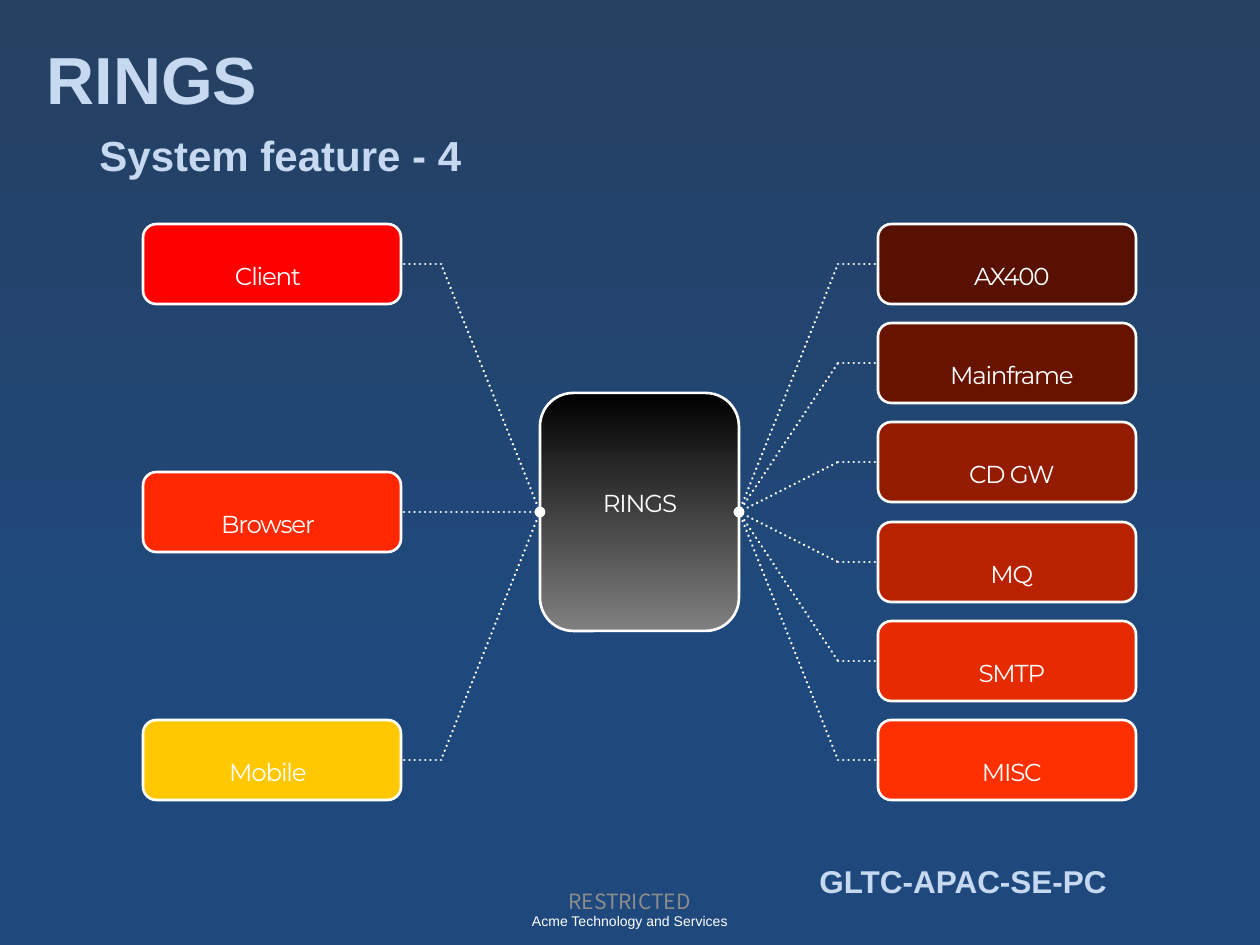
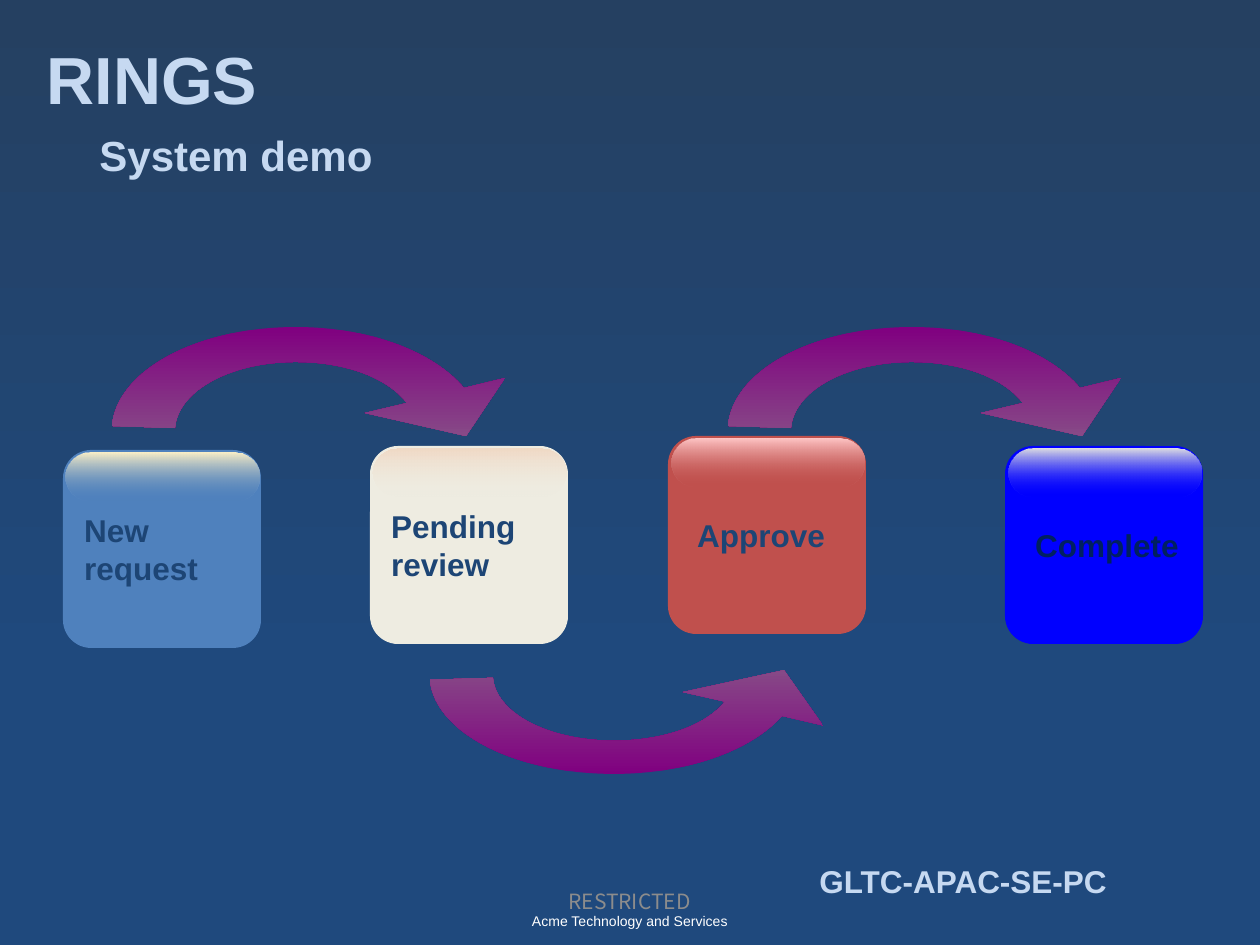
from lxml import etree
from pptx import Presentation
from pptx import util as u
from pptx.dml.color import RGBColor
from pptx.enum import dml, shapes, text
from pptx.oxml import ns

PX = 914400 / 126
WHITE, PALE, GREY = "FFFFFF", "C6D9F1", "8C8C8C"
NAVY, PURPLE, SILVER = "1D4575", "800080", "8D8D8D"
ARIAL, MONTSERRAT, NOTO = "Arial", "Montserrat", "Noto Sans CJK KR"
LEFT_SIDE, RIGHT_SIDE = 1, 3
DOWN, UP = 270, 90

SOURCES = [("Client", "FF0000"), ("Browser", "FF2800"), ("Mobile", "FFC800")]
TARGETS = [("AX400", "581000"), ("Mainframe", "671300"), ("CD GW", "931B00"),
           ("MQ", "B82200"), ("SMTP", "E62B00"), ("MISC", "FF3000")]
NODE_TOP, NODE_SPAN, NODE_W, NODE_H = 224, 496, 258, 80

STEPS = [("New\nrequest", 63, 450, "4F81BD", "FCF0C7", NAVY, 13),
         ("Pending\nreview", 370, 446, "EEECE1", "F1DAC6", NAVY, 13),
         ("Approve", 668, 436, "C0504D", "FFC6C6", NAVY, 21),
         ("Complete", 1005, 446, "0000FF", "E1E1E1", "002060", 22)]

ARROW_W, ARROW_H = 366, 208
ARROW_START = (295, 76)
ARROW_SEGMENTS = [
    [(275, 50), (232, 35), (184, 35)],
    [(118, 35), (66, 64), (63, 101)],
    [(0, 99)],
    [(5, 43), (86, 0), (184, 0)],
    [(256, 0), (321, 24), (352, 61)],
    [(393, 51)], [(354, 109)], [(253, 86)],
]


def px(length):
    return u.Emu(round(length * PX))


def rgb(value):
    return RGBColor.from_string(value)


def blend(fill, start, end, angle=DOWN, start_at=0):
    fill.gradient()
    fill.gradient_angle = angle
    for stop, color, position in zip(fill.gradient_stops, (start, end), (start_at, 1)):
        stop.color.rgb = rgb(color)
        stop.position = position


def write(frame, content, size, color, font=ARIAL, bold=False,
          align=text.PP_ALIGN.LEFT, anchor=text.MSO_ANCHOR.TOP, wrap=True, spacing=0):
    frame.text = content
    frame.word_wrap = wrap
    frame.vertical_anchor = anchor
    frame.auto_size = text.MSO_AUTO_SIZE.NONE
    for paragraph in frame.paragraphs:
        paragraph.alignment = align
        style = paragraph.font
        style.name, style.size, style.bold = font, u.Pt(size), bold
        style.color.rgb = rgb(color)
        if spacing:
            paragraph._p.pPr.get_or_add_defRPr().set("spc", str(spacing))


def add_text(slide, box, content, size, color, **style):
    label = slide.shapes.add_textbox(*map(px, box))
    write(label.text_frame, content, size, color, **style)


def add_label(slide, box, content):
    add_text(slide, box, content, 14, WHITE, font=MONTSERRAT, wrap=False,
             align=text.PP_ALIGN.CENTER, spacing=-70)


def add_rounded(slide, box, corner, fill=None, outline=None):
    panel = slide.shapes.add_shape(shapes.MSO_SHAPE.ROUNDED_RECTANGLE, *map(px, box))
    panel.adjustments[0] = corner
    panel.shadow.inherit = False
    if fill:
        panel.fill.solid()
        panel.fill.fore_color.rgb = rgb(fill)
    if outline:
        panel.line.color.rgb = rgb(outline)
        panel.line.width = u.Pt(1.5)
    else:
        panel.line.fill.background()
    return panel


def add_link(slide, start, end, start_node=None, end_node=None, dot=False):
    link = slide.shapes.add_connector(
        shapes.MSO_CONNECTOR.STRAIGHT, *map(px, start + end))
    link.line.color.rgb = rgb(WHITE)
    link.line.width = u.Pt(1.5)
    link.line.dash_style = dml.MSO_LINE.ROUND_DOT
    stroke = link.line._get_or_add_ln()
    stroke.set("cap", "rnd")
    if dot:
        etree.SubElement(stroke, ns.qn("a:headEnd"), type="oval")
    etree.SubElement(link._element.spPr, ns.qn("a:effectLst"))
    if start_node:
        link.begin_connect(*start_node)
    if end_node:
        link.end_connect(*end_node)


def add_branch(slide, core, nodes, node_x, label_x, port_x, elbow_x, core_side):
    node_side = RIGHT_SIDE if core_side == LEFT_SIDE else LEFT_SIDE
    node_edge = node_x + NODE_W if core_side == LEFT_SIDE else node_x
    port_y = NODE_TOP + (NODE_SPAN + NODE_H) // 2
    for index, (name, color) in enumerate(nodes):
        top = NODE_TOP + round(index * NODE_SPAN / (len(nodes) - 1))
        middle = top + NODE_H // 2
        node = add_rounded(slide, (node_x, top, NODE_W, NODE_H), 0.167, color, WHITE)
        add_label(slide, (label_x, top + 31, 128, 20), name)
        port, elbow, edge = (port_x, port_y), (elbow_x, middle), (node_edge, middle)
        if middle == port_y:
            add_link(slide, port, edge, (core, core_side), (node, node_side), dot=True)
        else:
            add_link(slide, port, elbow, (core, core_side), dot=True)
            add_link(slide, elbow, edge, end_node=(node, node_side))


def bend_segments(outline):
    for line, points in zip(outline.findall(ns.qn("a:lnTo")), ARROW_SEGMENTS):
        if len(points) == 3:
            bend = etree.Element(ns.qn("a:cubicBezTo"))
            for x, y in points:
                etree.SubElement(bend, ns.qn("a:pt"), x=str(x), y=str(y))
            outline.replace(line, bend)


def add_curved_arrow(slide, left, top, height=ARROW_H, flipped=False):
    builder = slide.shapes.build_freeform(*ARROW_START, scale=PX)
    builder.add_line_segments([segment[-1] for segment in ARROW_SEGMENTS], close=True)
    arrow = builder.convert_to_shape()
    outline = arrow._element.xpath(".//a:path")[0]
    bend_segments(outline)
    outline.set("w", str(ARROW_W))
    outline.set("h", str(ARROW_H))
    arrow.left, arrow.top, arrow.width, arrow.height = map(
        px, (left, top, ARROW_W, height))
    if flipped:
        arrow._element.spPr.xfrm.set("flipV", "1")
    arrow.shadow.inherit = False
    arrow.line.fill.background()
    blend(arrow.fill, PURPLE, SILVER)


def add_step(slide, name, left, top, color, gloss_color, text_color, inset):
    card = add_rounded(slide, (left, top, 198, 198), 0.142, color)
    write(card.text_frame, name, 18, text_color, bold=True,
          anchor=text.MSO_ANCHOR.MIDDLE, wrap=False)
    card.text_frame.margin_left = px(inset)
    gloss = add_rounded(slide, (left + 3, top + 3, 193, 48), 0.5)
    blend(gloss.fill, gloss_color, color)
    fading = gloss._element.xpath(".//a:gs[last()]/a:srgbClr")[0]
    etree.SubElement(fading, ns.qn("a:alpha"), val="0")


def add_page(deck, heading):
    slide = deck.slides.add_slide(deck.slide_layouts[5])
    title = slide.shapes.title
    title.left, title.top, title.width, title.height = map(px, (34, 32, 1196, 93))
    write(title.text_frame, "RINGS", 38, PALE, bold=True)
    add_text(slide, (87, 123, 1116, 63), heading, 24, PALE, bold=True)
    add_text(slide, (807, 856, 417, 50), "GLTC-APAC-SE-PC", 18, PALE, bold=True)
    add_text(slide, (0, 906, 1260, 30), "Acme Technology and Services", 8, WHITE,
             align=text.PP_ALIGN.CENTER)
    add_text(slide, (430, 876, 399, 50), "RESTRICTED", 12, GREY, font=NOTO,
             align=text.PP_ALIGN.CENTER, anchor=text.MSO_ANCHOR.MIDDLE)
    return slide


def build_feature(deck):
    slide = add_page(deck, "System feature - 4")
    core = add_rounded(slide, (540, 393, 199, 238), 0.167, outline=WHITE)
    blend(core.fill, "000000", "808080")
    add_label(slide, (581, 482, 118, 35), "RINGS")
    add_branch(slide, core, SOURCES, 143, 204, 540, 441, LEFT_SIDE)
    add_branch(slide, core, TARGETS, 878, 948, 739, 838, RIGHT_SIDE)


def build_demo(deck):
    slide = add_page(deck, "System demo")
    add_curved_arrow(slide, 112, 327)
    add_curved_arrow(slide, 430, 576, height=198, flipped=True)
    add_curved_arrow(slide, 728, 327)
    for step in STEPS:
        add_step(slide, *step)


def main():
    deck = Presentation()
    deck.slide_width, deck.slide_height = px(1260), px(945)
    blend(deck.slide_master.background.fill, "1F497D", "254061", UP, 0.29)
    build_feature(deck)
    build_demo(deck)
    deck.save("out.pptx")


if __name__ == "__main__":
    main()
